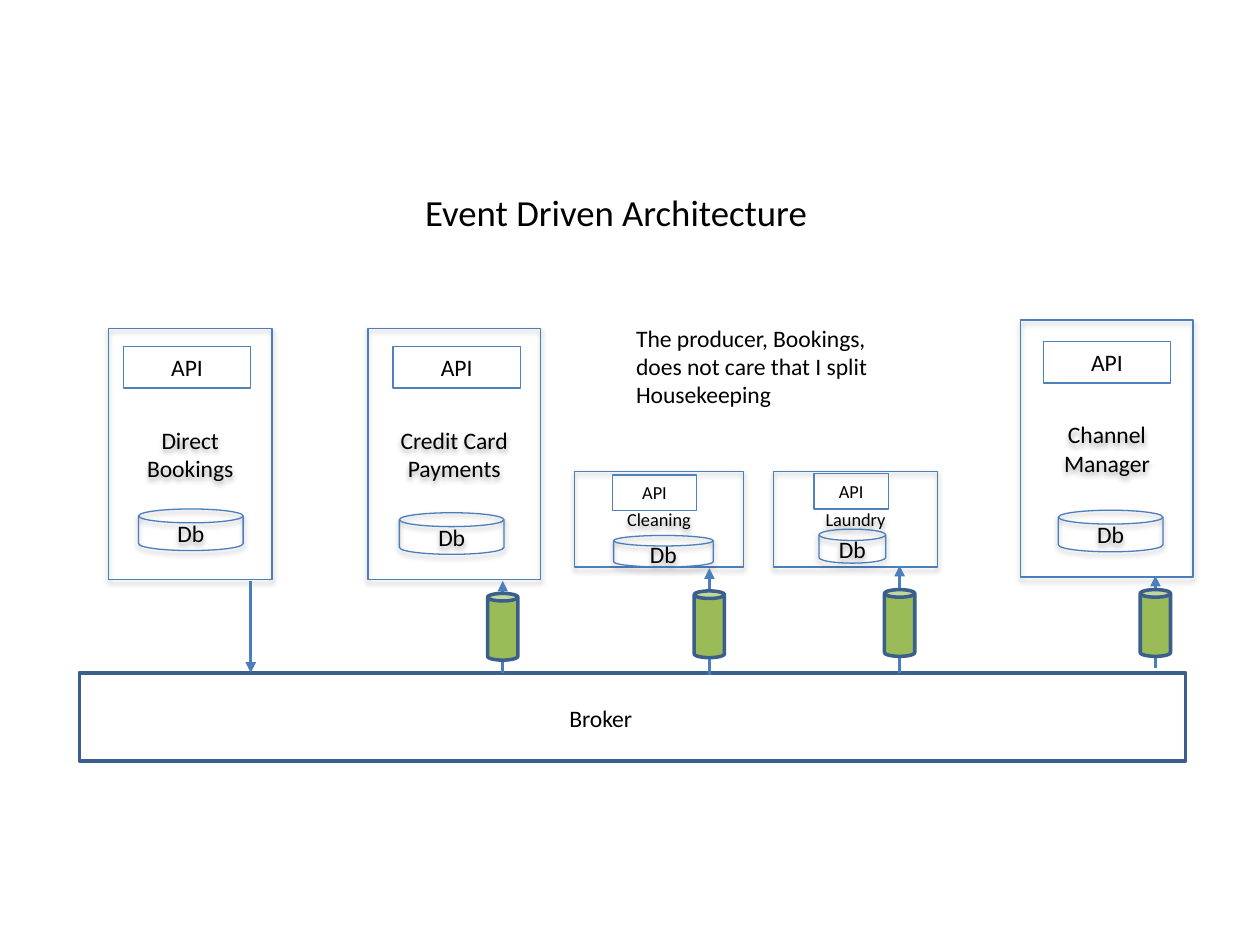
import pptx
import pptx.dml.color
import pptx.enum.shapes
import pptx.enum.text
import pptx.oxml
import pptx.oxml.ns
import pptx.util

MSO_SHAPE = pptx.enum.shapes.MSO_SHAPE
ANCHOR = pptx.enum.text.MSO_ANCHOR
ALIGN = pptx.enum.text.PP_ALIGN
NAMESPACE = pptx.oxml.ns.nsdecls("a")
BLUE, NAVY, GREEN, API_BLUE = "4B7EBC", "3A5F8C", "9BBB59", "4F81BD"
SHADOW = (
    f'<a:outerShdw {NAMESPACE} blurRad="39370" dist="22860" dir="5400000" rotWithShape="0">'
    '<a:srgbClr val="000000"><a:alpha val="35000"/></a:srgbClr></a:outerShdw>'
)

presentation = pptx.Presentation()
presentation.slide_width = pptx.util.Inches(10)
presentation.slide_height = pptx.util.Inches(7.5)
slide = presentation.slides.add_slide(presentation.slide_layouts[5])

# The grid has 100 columns and 75 rows; boxes are left, top, width, height in cells.
cell = presentation.slide_width // 100


def write(shape, lines, size, align=ALIGN.CENTER, anchor=ANCHOR.TOP):
    frame = shape.text_frame
    frame.word_wrap = True
    frame.vertical_anchor = anchor
    for index, line in enumerate(lines):
        paragraph = frame.add_paragraph() if index else frame.paragraphs[0]
        paragraph.alignment = align
        run = paragraph.add_run()
        run.text = line
        run.font.name = "Calibri"
        run.font.size = pptx.util.Pt(size)
        run.font.color.rgb = pptx.dml.color.RGBColor.from_string("000000")


def draw(kind, box, line, width=0.75, fill=None, shadow=False):
    shape = slide.shapes.add_shape(kind, *(round(value * cell) for value in box))
    if fill:
        shape.fill.solid()
        shape.fill.fore_color.rgb = pptx.dml.color.RGBColor.from_string(fill)
    else:
        shape.fill.background()
    shape.line.color.rgb = pptx.dml.color.RGBColor.from_string(line)
    shape.line.width = pptx.util.Pt(width)
    shape.shadow.inherit = False
    if shadow:
        effects = shape._element.spPr.find(pptx.oxml.ns.qn("a:effectLst"))
        effects.append(pptx.oxml.parse_xml(SHADOW))
    return shape


# Title
title = slide.shapes.title
title.left, title.top, title.width, title.height = (
    round(value * cell) for value in (21.7, 14.6, 54.4, 4.5))
write(title, ["Event Driven Architecture"], 21)

# Broker
draw(MSO_SHAPE.RECTANGLE, (6.3, 53.4, 87.8, 7), NAVY, 2)

# Services: name lines, text size, card, API box, database
services = [
    (["Direct", "Bookings"], 13.5, (8.6, 26.1, 13, 19.9),
     (9.8, 27.5, 10.1, 3.3), (11, 40.4, 8.3, 3.3)),
    (["Credit Card", "Payments"], 13.5, (29.2, 26.1, 13.7, 19.9),
     (31.2, 27.5, 10.1, 3.3), (31.7, 40.7, 8.3, 3.3)),
    (["Cleaning"], 10.5, (45.6, 37.4, 13.4, 7.6),
     (48.6, 37.7, 6.7, 2.8), (48.7, 42.5, 7.9, 2.5)),
    (["Laundry"], 10.5, (61.4, 37.4, 13, 7.6),
     (64.6, 37.6, 5.9, 2.8), (65, 42, 5.3, 2.7)),
    (["Channel Manager"], 13.5, (81, 25.4, 13.7, 20.4),
     (82.8, 27.1, 10.1, 3.3), (84, 40.5, 8.3, 3.3)),
]
for name, size, card_box, api_box, database_box in services:
    card = draw(MSO_SHAPE.RECTANGLE, card_box, BLUE, shadow=True)
    write(card, name, size, anchor=ANCHOR.MIDDLE)
    api = draw(MSO_SHAPE.RECTANGLE, api_box, API_BLUE)
    write(api, ["API"], size)
    database = draw(MSO_SHAPE.FLOWCHART_MAGNETIC_DISK, database_box, BLUE, shadow=True)
    write(database, ["Db"], 13.5, anchor=ANCHOR.MIDDLE)

# Events: column, start row, end row, top of the queue (None for the producer)
events = [
    (19.9, 46.1, 53.4, None),
    (39.9, 53.4, 46.1, 47.1),
    (56.3, 53.6, 45.1, 46.9),
    (71.4, 53.4, 44.9, 46.8),
    (91.7, 53, 45.7, 46.8),
]
for column, start, end, queue_top in events:
    arrow = slide.shapes.add_connector(
        pptx.enum.shapes.MSO_CONNECTOR.STRAIGHT,
        *(round(value * cell) for value in (column, start, column, end)))
    arrow.line.color.rgb = pptx.dml.color.RGBColor.from_string(BLUE)
    arrow.line.width = pptx.util.Pt(2)
    arrow.line._get_or_add_ln().append(
        pptx.oxml.parse_xml(f'<a:tailEnd {NAMESPACE} type="triangle"/>'))
    arrow._element.spPr.append(pptx.oxml.parse_xml(f"<a:effectLst {NAMESPACE}/>"))
    if queue_top is not None:
        draw(MSO_SHAPE.CAN, (column - 1.2, queue_top, 2.4, 5.3), NAVY, 2, GREEN)

# Captions
captions = [
    ("Broker", (44.2, 55.4, 8, 3.3)),
    ("The producer, Bookings, does not care that I split Housekeeping",
     (49.5, 25.2, 23.8, 7.8)),
]
for text, box in captions:
    caption = slide.shapes.add_textbox(*(round(value * cell) for value in box))
    write(caption, [text], 13.5, ALIGN.LEFT)

presentation.save("out.pptx")
